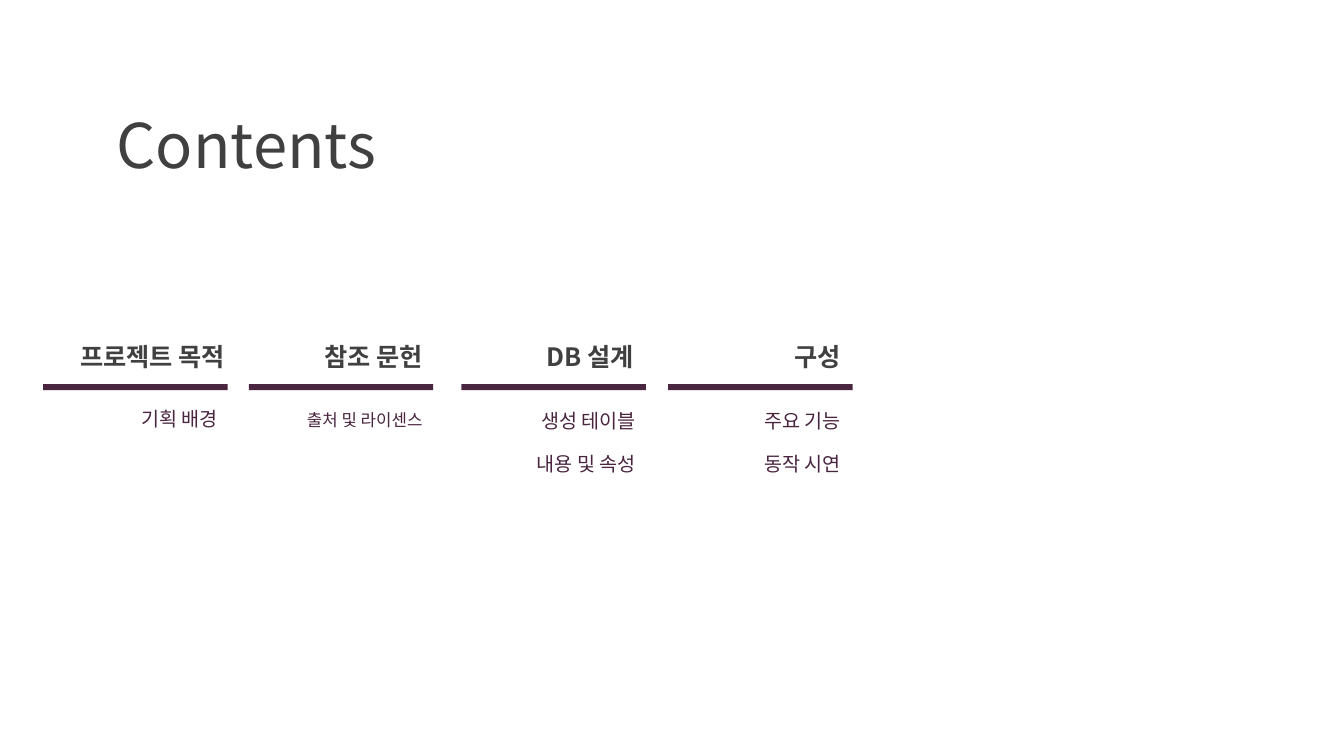
from dataclasses import dataclass

from lxml import etree
from pptx import Presentation
from pptx.dml.color import RGBColor
from pptx.enum.shapes import MSO_SHAPE
from pptx.enum.text import MSO_AUTO_SIZE, PP_ALIGN
from pptx.oxml.ns import qn
from pptx.slide import Slide
from pptx.util import Cm, Pt

RECTANGLE = MSO_SHAPE.RECTANGLE
FIT_SHAPE = MSO_AUTO_SIZE.SHAPE_TO_FIT_TEXT
LEFT = PP_ALIGN.LEFT
RIGHT = PP_ALIGN.RIGHT


@dataclass(frozen=True)
class Theme:
    font: str = "Noto Sans CJK KR"
    dark: RGBColor = RGBColor(0x40, 0x40, 0x40)
    accent: RGBColor = RGBColor(0x49, 0x25, 0x40)
    title_size: float = 44
    heading_size: float = 18
    item_size: float = 14
    small_size: float = 12
    item_gap: float = 13.3


@dataclass(frozen=True)
class Section:
    heading: str
    items: tuple[str, ...]
    bar_left: float
    heading_left: float
    items_left: float
    items_top: float = 10.19
    items_height: float = 2.06
    heading_width: float = 4.65
    item_size: float = Theme.item_size


THEME = Theme()
COLUMN_WIDTH = 4.65
HEADING_TOP = 8.48
HEADING_HEIGHT = 1.02
BAR_TOP = 9.68
BAR_HEIGHT = 0.15

SECTIONS = (
    Section("프로젝트 목적", ("기획 배경",), 1.09, 0.2, 1.09,
            items_top=10.13, items_height=0.86, heading_width=5.72),
    Section("참조 문헌", ("출처 및 라이센스",), 6.27, 6.25, 6.25,
            items_height=0.76, item_size=THEME.small_size),
    Section("DB 설계", ("생성 테이블", "내용 및 속성"), 11.63, 11.58, 11.63),
    Section("구성", ("주요 기능", "동작 시연"), 16.84, 16.79, 16.79,
            items_height=3.25),
)


def add_text(slide: Slide, lines: tuple[str, ...], *, left: float, top: float,
             width: float, height: float, size: float, color: RGBColor,
             bold: bool = False, alignment: PP_ALIGN = RIGHT) -> None:
    shape = slide.shapes.add_textbox(Cm(left), Cm(top), Cm(width), Cm(height))
    frame = shape.text_frame
    frame.word_wrap = True
    frame.auto_size = FIT_SHAPE
    for index, line in enumerate(lines):
        paragraph = frame.add_paragraph() if index else frame.paragraphs[0]
        paragraph.alignment = alignment
        if index:
            paragraph.space_before = Pt(THEME.item_gap)
        run = paragraph.add_run()
        run.text = line
        run.font.size = Pt(size)
        run.font.bold = bold
        run.font.color.rgb = color
        run.font.name = THEME.font
        properties = run._r.get_or_add_rPr()
        etree.SubElement(properties, qn("a:ea")).set("typeface", THEME.font)


def add_bar(slide: Slide, left: float) -> None:
    shape = slide.shapes.add_shape(
        RECTANGLE, Cm(left), Cm(BAR_TOP), Cm(COLUMN_WIDTH), Cm(BAR_HEIGHT))
    shape.shadow.inherit = False
    shape.fill.solid()
    shape.fill.fore_color.rgb = THEME.accent
    shape.line.fill.background()


def add_section(slide: Slide, section: Section) -> None:
    add_bar(slide, section.bar_left)
    add_text(slide, (section.heading,), left=section.heading_left,
             top=HEADING_TOP, width=section.heading_width,
             height=HEADING_HEIGHT, size=THEME.heading_size,
             color=THEME.dark, bold=True)
    add_text(slide, section.items, left=section.items_left,
             top=section.items_top, width=COLUMN_WIDTH,
             height=section.items_height, size=section.item_size,
             color=THEME.accent)


def main() -> None:
    presentation = Presentation()
    presentation.slide_width = Cm(33.87)
    presentation.slide_height = Cm(19.05)
    slide = presentation.slides.add_slide(presentation.slide_layouts[6])
    add_text(slide, ("Contents",), left=2.69, top=2.57, width=9.93,
             height=2.13, size=THEME.title_size, color=THEME.dark,
             alignment=LEFT)
    for section in SECTIONS:
        add_section(slide, section)
    presentation.save("out.pptx")


if __name__ == "__main__":
    main()
